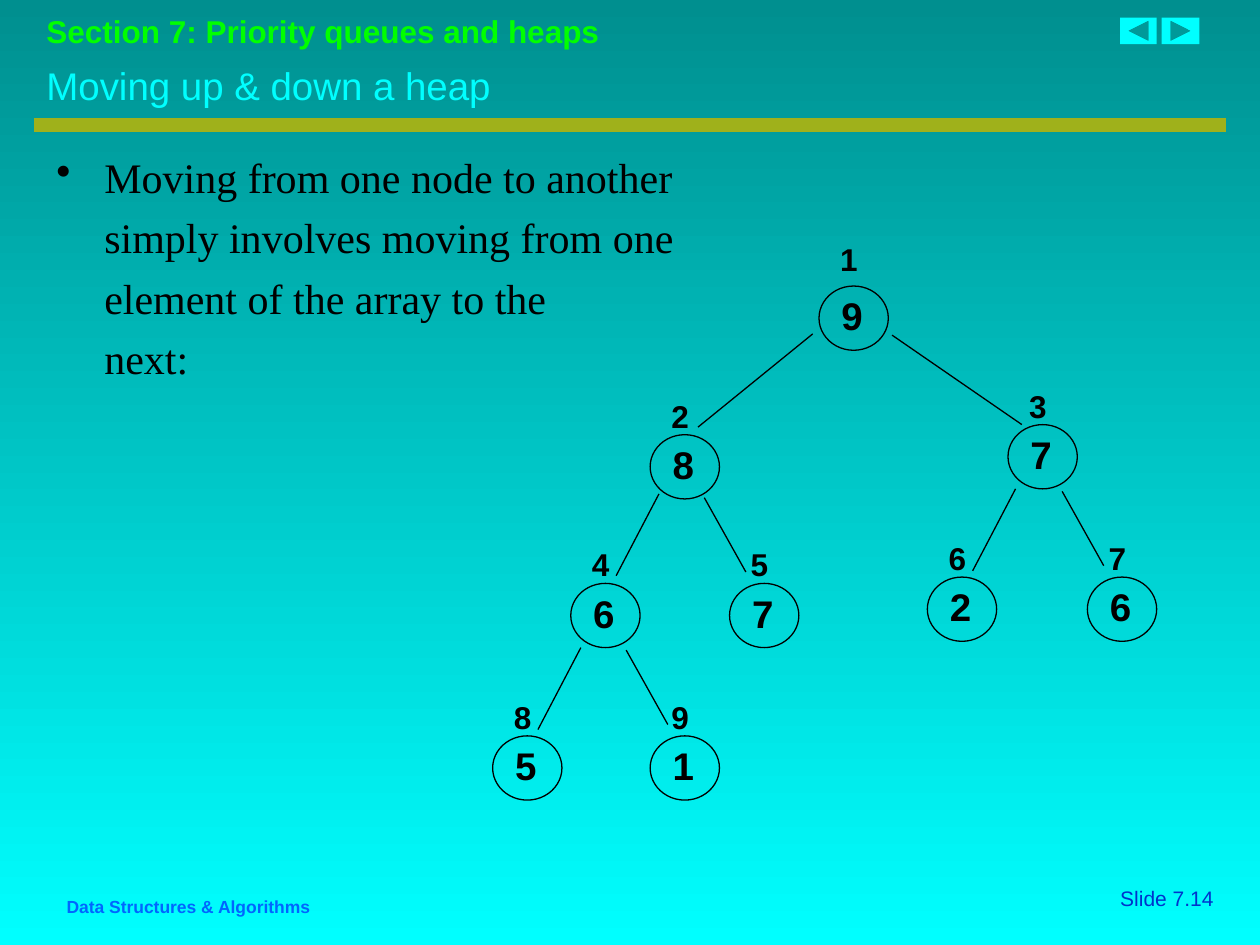
from dataclasses import dataclass

from lxml.etree import SubElement
from pptx import Presentation
from pptx.dml.color import RGBColor
from pptx.enum.shapes import MSO_CONNECTOR as Connector, MSO_SHAPE as Shape
from pptx.enum.text import MSO_ANCHOR as Anchor, PP_ALIGN as Align
from pptx.oxml.ns import qn
from pptx.util import Emu, Inches, Pt

COLUMNS, ROWS = 100, 75
WIDTH, HEIGHT = Inches(10), Inches(7.5)


@dataclass(frozen=True)
class Theme:
    top: str = "008F8F"
    aqua: str = "00FFFF"
    green: str = "00FF00"
    olive: str = "9FB11B"
    navy: str = "0033CC"
    blue: str = "0066FF"
    ink: str = "000000"
    sans: str = "Arial"
    serif: str = "Times New Roman"
    body_size: float = 24
    title_size: float = 22
    section_size: float = 18
    number_size: float = 12
    footer_size: float = 10
    body_gap: float = 5.8
    rule_width: float = 8
    tree_width: float = 0.75


@dataclass(frozen=True)
class Box:
    column: float
    row: float
    columns: float
    rows: float


@dataclass(frozen=True)
class Style:
    size: float
    color: str
    bold: bool = False
    font: str = "Arial"


@dataclass(frozen=True)
class Node:
    index: int
    value: int
    column: float
    row: float
    label_rise: float = 3.5


@dataclass(frozen=True)
class Branch:
    column: float
    row: float
    step: tuple[float, float]


THEME = Theme()
LEFT_STEP, RIGHT_STEP = (-3.4, 6.5), (3.3, 5.9)
VALUE_STYLE = Style(THEME.title_size, THEME.ink, True)
INDEX_STYLE = Style(THEME.section_size, THEME.ink, True)

NODES = [
    Node(1, 9, 65, 22.7, 4.1),
    Node(2, 8, 51.6, 34.5), Node(3, 7, 80, 33.7),
    Node(4, 6, 45.3, 46.3), Node(5, 7, 57.9, 46.3),
    Node(6, 2, 73.6, 45.8), Node(7, 6, 86.3, 45.8),
    Node(8, 5, 39.1, 58.4), Node(9, 1, 51.6, 58.4),
]
BRANCHES = [
    Branch(64.5, 26.5, (-9.1, 7.4)), Branch(70.8, 26.6, (10.3, 7.1)),
    Branch(52.3, 39.2, LEFT_STEP), Branch(55.9, 39.5, RIGHT_STEP),
    Branch(80.6, 38.8, LEFT_STEP), Branch(84.3, 39, RIGHT_STEP),
    Branch(46.1, 51.4, LEFT_STEP), Branch(49.7, 51.6, RIGHT_STEP),
]
BODY = [
    "Moving from one node to another",
    "simply involves moving from one",
    "element of the array to the",
    "next:",
]


def across(columns: float) -> Emu:
    return Emu(round(WIDTH * columns / COLUMNS))


def down(rows: float) -> Emu:
    return Emu(round(HEIGHT * rows / ROWS))


def place(box: Box) -> tuple[Emu, Emu, Emu, Emu]:
    return across(box.column), down(box.row), across(box.columns), down(box.rows)


def add_text(slide, box: Box, lines: list[str], style: Style,
             align=Align.LEFT, anchor=Anchor.TOP):
    text_frame = slide.shapes.add_textbox(*place(box)).text_frame
    text_frame.word_wrap = True
    text_frame.vertical_anchor = anchor
    text_frame.text = "\n".join(lines)
    for paragraph in text_frame.paragraphs:
        paragraph.alignment = align
        for run in paragraph.runs:
            run.font.size = Pt(style.size)
            run.font.name = style.font
            run.font.bold = style.bold
            run.font.color.rgb = RGBColor.from_string(style.color)
    return text_frame


def add_line(slide, start: tuple[float, float], end: tuple[float, float],
             color: str, width: float) -> None:
    line = slide.shapes.add_connector(
        Connector.STRAIGHT, across(start[0]), down(start[1]), across(end[0]), down(end[1]))
    line.line.color.rgb = RGBColor.from_string(color)
    line.line.width = Pt(width)
    SubElement(line._element.spPr, qn("a:effectLst"))


def add_button(slide, kind: Shape, box: Box) -> None:
    shape = slide.shapes.add_shape(kind, *place(box))
    shape.shadow.inherit = False
    shape.fill.solid()
    shape.fill.fore_color.rgb = RGBColor.from_string(THEME.aqua)
    shape.line.fill.background()


def add_node(slide, node: Node) -> None:
    shape = slide.shapes.add_shape(Shape.OVAL, *place(Box(node.column, node.row, 5.5, 5.1)))
    shape.shadow.inherit = False
    shape.fill.background()
    shape.line.color.rgb = RGBColor.from_string(THEME.ink)
    shape.line.width = Pt(THEME.tree_width)
    add_text(slide, Box(node.column + 0.8, node.row, 3.9, 4.7), [str(node.value)], VALUE_STYLE)
    add_text(slide, Box(node.column + 0.7, node.row - node.label_rise, 4.7, 4),
             [str(node.index)], INDEX_STYLE)


def add_body(slide) -> None:
    text_frame = add_text(slide, Box(3.5, 11.5, 93.7, 59.1), BODY,
                          Style(THEME.body_size, THEME.ink, font=THEME.serif))
    indent = across(3.8)
    for number, paragraph in enumerate(text_frame.paragraphs):
        paragraph.space_before = Pt(THEME.body_gap)
        properties = paragraph._p.get_or_add_pPr()
        properties.set("marL", str(indent))
        properties.set("indent", str(0 if number else -indent))
        if number == 0:
            SubElement(properties, qn("a:buChar")).set("char", "•")


def add_frame(slide) -> None:
    fill = slide.background.fill
    fill.gradient()
    fill.gradient_angle = 270
    for stop, color in zip(fill.gradient_stops, (THEME.top, THEME.aqua)):
        stop.color.rgb = RGBColor.from_string(color)
    add_text(slide, Box(81.5, 69.8, 15.8, 3), ["Slide 7.14"],
             Style(THEME.number_size, THEME.navy), Align.RIGHT)
    add_line(slide, (2.7, 9.9), (97.3, 9.9), THEME.olive, THEME.rule_width)
    add_text(slide, Box(2.7, 0.5, 94.5, 4), ["Section 7: Priority queues and heaps"],
             Style(THEME.section_size, THEME.green, True))
    add_button(slide, Shape.ACTION_BUTTON_FORWARD_OR_NEXT, Box(92.2, 1.4, 3, 2.1))
    add_button(slide, Shape.ACTION_BUTTON_BACK_OR_PREVIOUS, Box(88.9, 1.4, 2.9, 2.1))
    add_text(slide, Box(4.3, 70.6, 30.7, 2.7), ["Data Structures & Algorithms"],
             Style(THEME.footer_size, THEME.blue, True))
    add_text(slide, Box(2.7, 4.4, 92.1, 4.7), ["Moving up & down a heap"],
             Style(THEME.title_size, THEME.aqua), anchor=Anchor.MIDDLE)


def main() -> None:
    presentation = Presentation()
    presentation.slide_width, presentation.slide_height = WIDTH, HEIGHT
    slide = presentation.slides.add_slide(presentation.slide_layouts[6])
    add_frame(slide)
    add_body(slide)
    for branch in BRANCHES:
        end = (branch.column + branch.step[0], branch.row + branch.step[1])
        add_line(slide, (branch.column, branch.row), end, THEME.ink, THEME.tree_width)
    for node in NODES:
        add_node(slide, node)
    presentation.save("out.pptx")


if __name__ == "__main__":
    main()
